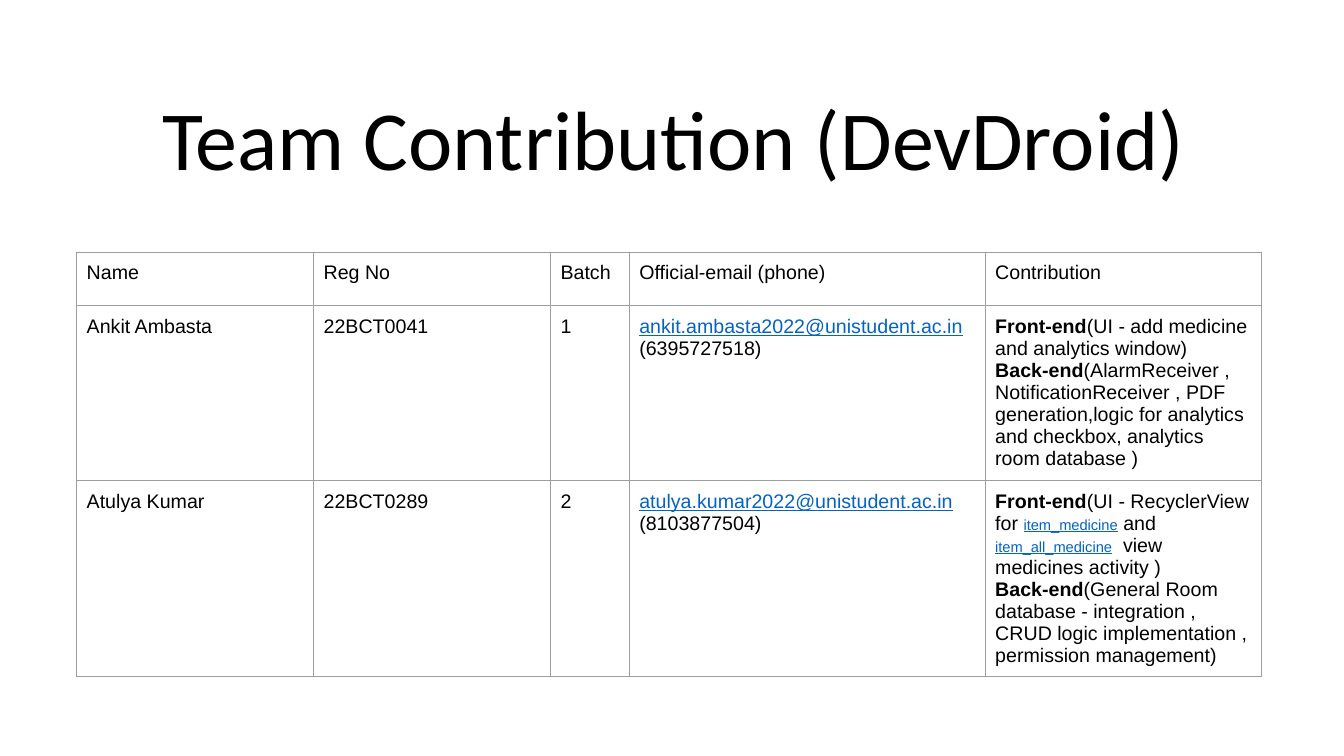
from dataclasses import dataclass

from lxml import etree
from pptx import Presentation
from pptx.dml.color import RGBColor
from pptx.enum import text
from pptx.oxml import ns
from pptx.util import Pt

BLACK, LINK, GRID = "000000", "0563C1", "9E9E9E"
BODY_SIZE, LINK_SIZE = 14, 10.5
COLUMN_WIDTHS = [169.25, 169.25, 56.25, 254.25, 197.25]
ROW_HEIGHTS = [38, 125, 140]


@dataclass
class Span:
    text: str
    size: float = BODY_SIZE
    bold: bool = False
    link: bool = False


Line = list[Span]
BREAK = Span("\n")


@dataclass
class Member:
    name: str
    reg_no: str
    batch: str
    email: str
    phone: str
    contribution: list[Line]

    def cells(self) -> list[list[Line]]:
        contact = [Span(self.email, link=True), BREAK, Span(self.phone)]
        return [*map(plain, (self.name, self.reg_no, self.batch)),
                [contact], self.contribution]


def plain(words: str) -> list[Line]:
    return [[Span(words)]]


def part(label: str, *details: Span) -> Line:
    return [Span(label, bold=True), *details]


HEADINGS = ["Name", "Reg No", "Batch", "Official-email (phone)", "Contribution"]
MEMBERS = [
    Member("Ankit Ambasta", "22BCT0041", "1",
           "ankit.ambasta2022@unistudent.ac.in", "(6395727518)", [
               part("Front-end", Span("(UI - add medicine and analytics window)")),
               part("Back-end", Span(
                   "(AlarmReceiver , NotificationReceiver , PDF generation,logic for "
                   "analytics and checkbox, analytics room database )")),
           ]),
    Member("Atulya Kumar", "22BCT0289", "2",
           "atulya.kumar2022@unistudent.ac.in", "(8103877504)", [
               part("Front-end", Span("(UI - RecyclerView for "),
                    Span("item_medicine", LINK_SIZE, link=True), Span(" and "),
                    Span("item_all_medicine", LINK_SIZE, link=True),
                    Span("  view medicines activity )")),
               part("Back-end", Span(
                   "(General Room database - integration , CRUD logic "
                   "implementation , permission management)")),
           ]),
]


def style(font, name: str, size: float, color: str) -> None:
    font.name, font.size = name, Pt(size)
    font.color.rgb = RGBColor.from_string(color)


def write_line(p, line: Line) -> None:
    for span in line:
        if span is BREAK:
            p.add_line_break()
            props = etree.SubElement(p._p[-1], ns.qn("a:rPr"))
            props.set("sz", str(BODY_SIZE * 100))
            continue
        r = p.add_run()
        r.text = span.text
        style(r.font, "Arial", span.size, LINK if span.link else BLACK)
        r.font.bold, r.font.underline = span.bold, span.link


def add_borders(cell) -> None:
    props = cell._tc.get_or_add_tcPr()
    for side in ("lnL", "lnR", "lnT", "lnB"):
        ln = etree.SubElement(props, ns.qn(f"a:{side}"), w=str(Pt(0.75)))
        fill = etree.SubElement(ln, ns.qn("a:solidFill"))
        etree.SubElement(fill, ns.qn("a:srgbClr"), val=GRID)


def fill_cell(cell, lines: list[Line]) -> None:
    add_borders(cell)
    cell.fill.background()
    cell.margin_left = cell.margin_right = Pt(7.2)
    cell.margin_top = cell.margin_bottom = Pt(7.2)
    tf = cell.text_frame
    for i, line in enumerate(lines):
        write_line(tf.add_paragraph() if i else tf.paragraphs[0], line)


def add_title(s) -> None:
    title = s.shapes.title
    title.left, title.top, title.width, title.height = map(Pt, (72.75, 46, 816.5, 92.25))
    tf = title.text_frame
    tf.text = "Team Contribution (DevDroid)"
    tf.word_wrap = True
    tf.auto_size = text.MSO_AUTO_SIZE.NONE
    tf.vertical_anchor = text.MSO_ANCHOR.BOTTOM
    p = tf.paragraphs[0]
    p.alignment, p.line_spacing = text.PP_ALIGN.CENTER, 0.9
    style(p.runs[0].font, "Calibri", 60, BLACK)


def add_team_table(s) -> None:
    rows = [[plain(h) for h in HEADINGS], *(m.cells() for m in MEMBERS)]
    table = s.shapes.add_table(
        len(rows), len(HEADINGS), Pt(54.75), Pt(180),
        Pt(sum(COLUMN_WIDTHS)), Pt(sum(ROW_HEIGHTS))).table
    table.first_row = table.horz_banding = False
    for column, width in zip(table.columns, COLUMN_WIDTHS):
        column.width = Pt(width)
    for row, height, contents in zip(table.rows, ROW_HEIGHTS, rows):
        row.height = Pt(height)
        for cell, lines in zip(row.cells, contents):
            fill_cell(cell, lines)


def main() -> None:
    prs = Presentation()
    prs.slide_width, prs.slide_height = Pt(960), Pt(540)
    s = prs.slides.add_slide(prs.slide_layouts[0])
    subtitle = s.placeholders[1].element
    subtitle.getparent().remove(subtitle)
    add_title(s)
    add_team_table(s)
    prs.save("out.pptx")


if __name__ == "__main__":
    main()
